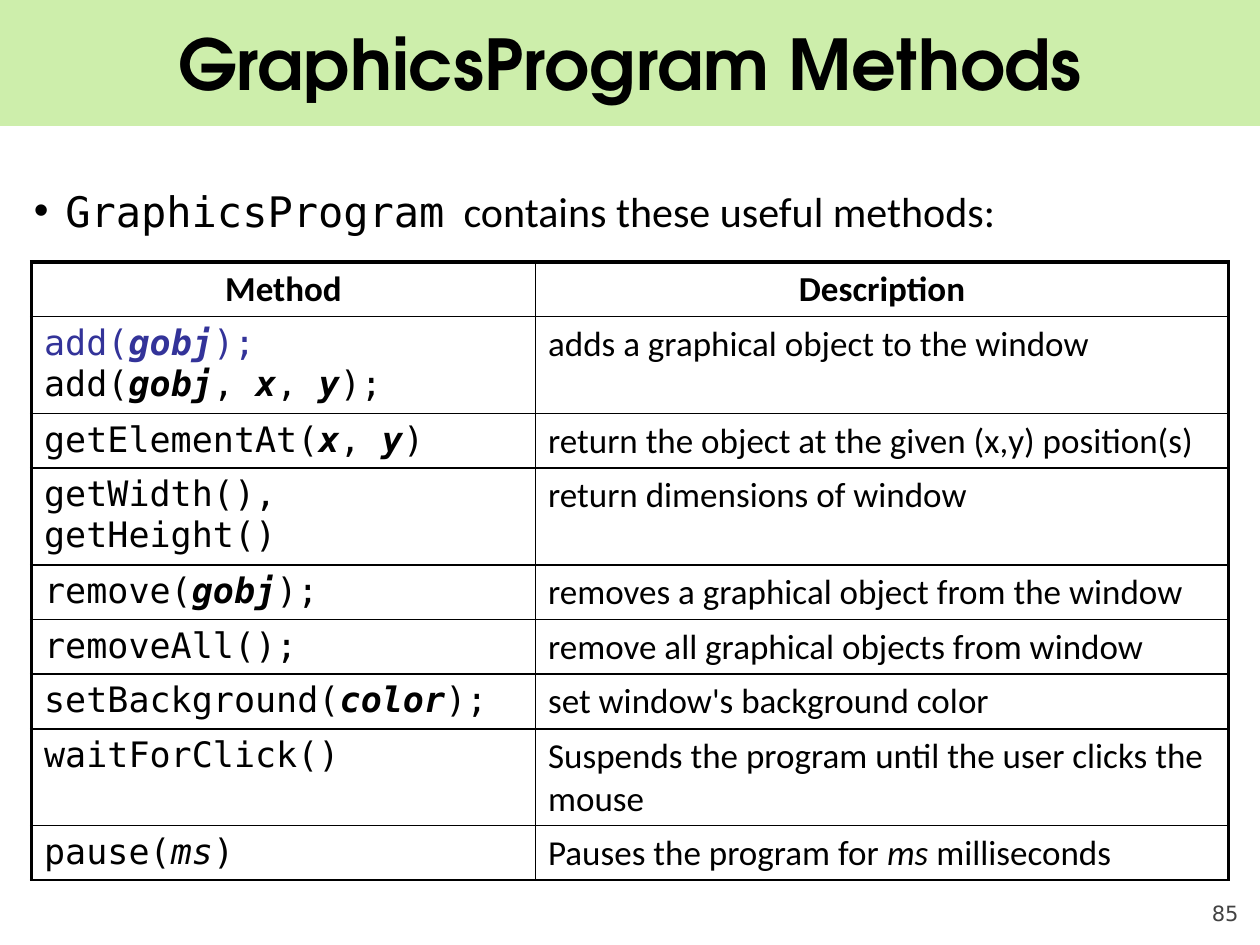
from dataclasses import dataclass
from typing import NamedTuple

from lxml import etree
from pptx import Presentation
from pptx import util as u
from pptx.dml.color import RGBColor
from pptx.enum import shapes, text
from pptx.oxml.ns import qn


@dataclass(frozen=True)
class Theme:
    band: str = "CDEEAB"
    ink: str = "000000"
    highlight: str = "333399"
    muted: str = "424242"
    title_font: str = "TeX Gyre Adventor"
    body_font: str = "Calibri"
    code_font: str = "DejaVu Sans Mono"
    number_font: str = "DejaVu Sans"
    title_size: float = 40
    lead_size: float = 24
    table_size: float = 20
    number_size: float = 12
    outer_rule: float = 2.25
    inner_rule: float = 1


class Span(NamedTuple):
    text: str
    bold: bool = False
    italic: bool = False
    color: str = ""
    font: str = ""


class Entry(NamedTuple):
    method: list[list[Span]]  # lines of spans
    description: list[Span]


THEME = Theme()
WIDTH, HEIGHT = u.Inches(10), u.Inches(7.5)
BAND_HEIGHT = u.Inches(1)
COLUMNS = (4, 5.5)
ROW_HEIGHT = 0.43


def argument(name: str, color: str = "") -> Span:
    return Span(name, bold=True, italic=True, color=color)


ENTRIES = [
    Entry([[Span("add(", color=THEME.highlight), argument("gobj", THEME.highlight),
            Span(");", color=THEME.highlight)],
           [Span("add("), argument("gobj"), Span(", "), argument("x"),
            Span(", "), argument("y"), Span(");")]],
          [Span("adds a graphical object to the window")]),
    Entry([[Span("getElementAt("), argument("x"), Span(", "), argument("y"), Span(")")]],
          [Span("return the object at the given (x,y) position(s)")]),
    Entry([[Span("getWidth(), getHeight()")]],
          [Span("return dimensions of window")]),
    Entry([[Span("remove("), argument("gobj"), Span(");")]],
          [Span("removes a graphical object from the window")]),
    Entry([[Span("removeAll();")]],
          [Span("remove all graphical objects from window")]),
    Entry([[Span("setBackground("), argument("color"), Span(");")]],
          [Span("set window's background color")]),
    Entry([[Span("waitForClick()")]],
          [Span("Suspends the program until the user clicks the mouse")]),
    Entry([[Span("pause("), Span("ms", italic=True), Span(")")]],
          [Span("Pauses the program for "), Span("ms", italic=True), Span(" milliseconds")]),
]


def write(paragraph, lines: list[list[Span]], font: str, size: float,
          color: str = THEME.ink, align=text.PP_ALIGN.LEFT) -> None:
    paragraph.alignment = align
    for index, line in enumerate(lines):
        if index:
            paragraph.add_line_break()
        for span in line:
            run = paragraph.add_run()
            run.text = span.text
            run.font.name = span.font or font
            run.font.size = u.Pt(size)
            run.font.bold = span.bold
            run.font.italic = span.italic
            run.font.color.rgb = RGBColor.from_string(span.color or color)


def add_bullet(paragraph, indent: float) -> None:
    properties = paragraph._p.get_or_add_pPr()
    properties.set("marL", str(u.Inches(indent)))
    properties.set("indent", str(-u.Inches(indent)))
    etree.SubElement(properties, qn("a:buFont")).set("typeface", "Arial")
    etree.SubElement(properties, qn("a:buChar")).set("char", "•")


def rule_cell(cell, row: int, column: int) -> None:
    """Draw thick rules on the table's top and sides, thin ones elsewhere."""
    thick = {"L": column == 0, "R": column == len(COLUMNS) - 1, "T": row == 0, "B": False}
    properties = cell._tc.get_or_add_tcPr()
    for index, (side, outer) in enumerate(thick.items()):
        line = etree.Element(qn(f"a:ln{side}"))
        line.set("w", str(u.Pt(THEME.outer_rule if outer else THEME.inner_rule)))
        fill = etree.SubElement(line, qn("a:solidFill"))
        etree.SubElement(fill, qn("a:srgbClr")).set("val", THEME.ink)
        properties.insert(index, line)


def add_title(slide) -> None:
    band = slide.shapes.add_shape(shapes.MSO_SHAPE.ROUNDED_RECTANGLE, 0, 0, WIDTH, BAND_HEIGHT)
    band.adjustments[0] = 0
    band.shadow.inherit = False
    band.fill.solid()
    band.fill.fore_color.rgb = RGBColor.from_string(THEME.band)
    band.line.fill.background()
    slide.shapes._spTree.insert(2, band._element)  # behind the title

    title = slide.shapes.title
    title.left, title.top = int(WIDTH * 0.05), 0
    title.width, title.height = int(WIDTH * 0.9), BAND_HEIGHT
    title.text_frame.vertical_anchor = text.MSO_ANCHOR.MIDDLE
    write(title.text_frame.paragraphs[0], [[Span("GraphicsProgram Methods", bold=True)]],
          THEME.title_font, THEME.title_size, align=text.PP_ALIGN.CENTER)


def add_lead(slide) -> None:
    lead = slide.shapes.add_textbox(u.Inches(0.17), u.Inches(1.42), u.Inches(9.67), u.Inches(0.6))
    lead.text_frame.word_wrap = True
    paragraph = lead.text_frame.paragraphs[0]
    add_bullet(paragraph, 0.25)
    write(paragraph, [[Span("GraphicsProgram", font=THEME.code_font),
                       Span("  contains these useful methods:")]],
          THEME.body_font, THEME.lead_size)


def add_method_table(slide) -> None:
    row_count = len(ENTRIES) + 1
    table = slide.shapes.add_table(
        row_count, len(COLUMNS), u.Inches(0.25), u.Inches(2.08),
        u.Inches(sum(COLUMNS)), u.Inches(ROW_HEIGHT * row_count)).table
    table.horz_banding = False
    for column, width in zip(table.columns, COLUMNS):
        column.width = u.Inches(width)
    for row in range(row_count):
        table.rows[row].height = u.Inches(ROW_HEIGHT)
        for column in range(len(COLUMNS)):
            cell = table.cell(row, column)
            cell.fill.background()
            rule_cell(cell, row, column)

    for column, heading in enumerate(("Method", "Description")):
        write(table.cell(0, column).text_frame.paragraphs[0], [[Span(heading, bold=True)]],
              THEME.body_font, THEME.table_size, align=text.PP_ALIGN.CENTER)
    for row, entry in enumerate(ENTRIES, start=1):
        method, description = table.cell(row, 0), table.cell(row, 1)
        method.margin_right = u.Inches(0.25)
        write(method.text_frame.paragraphs[0], entry.method, THEME.code_font, THEME.table_size)
        write(description.text_frame.paragraphs[0], [entry.description],
              THEME.body_font, THEME.table_size)


def add_page_number(slide) -> None:
    number = slide.shapes.add_textbox(u.Inches(9), u.Inches(6.95), u.Inches(0.83), u.Inches(0.4))
    frame = number.text_frame
    frame.word_wrap = True
    frame.margin_left = frame.margin_right = frame.margin_top = frame.margin_bottom = 0
    frame.vertical_anchor = text.MSO_ANCHOR.BOTTOM
    write(frame.paragraphs[0], [[Span("85")]], THEME.number_font, THEME.number_size,
          THEME.muted, text.PP_ALIGN.RIGHT)


def main() -> None:
    presentation = Presentation()
    presentation.slide_width, presentation.slide_height = WIDTH, HEIGHT
    slide = presentation.slides.add_slide(presentation.slide_layouts[5])
    add_title(slide)
    add_lead(slide)
    add_method_table(slide)
    add_page_number(slide)
    presentation.save("out.pptx")


if __name__ == "__main__":
    main()
